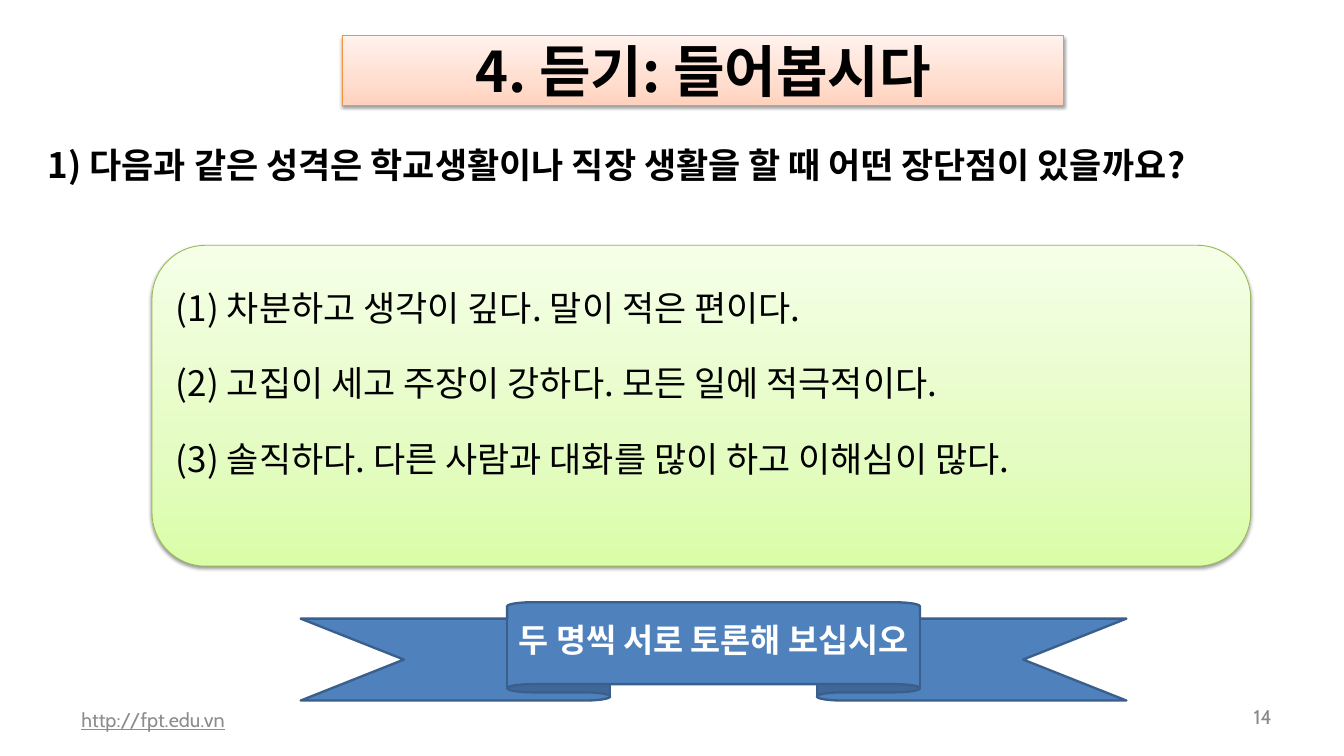
import copy
import pptx
import pptx.util
import pptx.dml.color
import pptx.enum.shapes
import pptx.enum.text
import pptx.oxml
import pptx.oxml.ns

Inches, Pt = pptx.util.Inches, pptx.util.Pt
SHAPE = pptx.enum.shapes.MSO_SHAPE
ALIGN = pptx.enum.text.PP_ALIGN
ANCHOR = pptx.enum.text.MSO_ANCHOR
qn = pptx.oxml.ns.qn

KOREAN, LATIN = "Noto Sans CJK KR", "Cabin"
TITLE = "4. 듣기: 들어봅시다"
ASK = "1) 다음과 같은 성격은 학교생활이나 직장 생활을 할 때 어떤 장단점이 있을까요?"
TRAITS = [
    "(1) 차분하고 생각이 깊다. 말이 적은 편이다.",
    "(2) 고집이 세고 주장이 강하다. 모든 일에 적극적이다.",
    "(3) 솔직하다. 다른 사람과 대화를 많이 하고 이해심이 많다.",
]
TASK = "두 명씩 서로 토론해 보십시오"
SITE, PAGE = "http://fpt.edu.vn", "14"

PEACH = [(0, "FFD2BD"), (0.35, "FFDED0"), (1, "FFF2ED")]
LIME = [(0, "DAFDA7"), (0.35, "E4FCC2"), (1, "F5FFE7")]
SHADOW = (
    '<a:effectLst xmlns:a="http://schemas.openxmlformats.org/drawingml/2006/main">'
    '<a:outerShdw blurRad="39370" dist="20320" dir="5400000" rotWithShape="0">'
    '<a:srgbClr val="000000"><a:alpha val="38000"/></a:srgbClr>'
    '</a:outerShdw></a:effectLst>'
)


def paint(color, code):
    color.rgb = pptx.dml.color.RGBColor.from_string(code)


def write(shape, lines, size, color, face=KOREAN, bold=False, align=ALIGN.LEFT,
          anchor=ANCHOR.MIDDLE, inset=(0.1, 0.05), gap=0, pitch=None):
    frame = shape.text_frame
    frame.word_wrap = True
    frame.vertical_anchor = anchor
    frame.margin_left = frame.margin_right = Inches(inset[0])
    frame.margin_top = frame.margin_bottom = Inches(inset[1])
    frame.text = "\n".join(lines)
    for i, par in enumerate(frame.paragraphs):
        par.alignment = align
        if pitch:
            par.line_spacing = pitch
        if i and gap:
            par.space_before = Pt(gap)
        font = par.font
        font.name, font.size, font.bold = face, Pt(size), bold
        paint(font.color, color)
        latin = par._p.pPr.find(qn("a:defRPr")).find(qn("a:latin"))
        east = copy.deepcopy(latin)
        east.tag = qn("a:ea")
        latin.addnext(east)
    return frame


def add_form(kind, box, edge, width):
    form = slide.shapes.add_shape(kind, *map(Inches, box))
    form.shadow.inherit = False
    paint(form.line.color, edge)
    form.line.width = Pt(width)
    return form


def add_glow(kind, box, edge, stops):
    """Add a shape with an upward gradient and a soft shadow."""
    form = add_form(kind, box, edge, 0.75)
    form.fill.gradient()
    form.fill.gradient_angle = 90
    group = form._element.spPr.find(qn("a:gradFill")).find(qn("a:gsLst"))
    group.append(copy.deepcopy(group[0]))
    for stop, (place, code) in zip(form.fill.gradient_stops, stops):
        stop.position = place
        paint(stop.color, code)
    plain = form._element.spPr.find(qn("a:effectLst"))
    plain.getparent().replace(plain, pptx.oxml.parse_xml(SHADOW))
    return form


def add_text(box):
    return slide.shapes.add_textbox(*map(Inches, box))


deck = pptx.Presentation()
deck.slide_width, deck.slide_height = Inches(16), Inches(9)
slide = deck.slides.add_slide(deck.slide_layouts[6])

site = write(add_text((0.83, 8.33, 5.07, 0.48)), [SITE], 17, "8C8C8C", LATIN,
             inset=(0.14, 0.07))
site.paragraphs[0].font.underline = True
write(add_text((14.5, 8.33, 0.78, 0.41)), [PAGE], 17, "898989", LATIN,
      align=ALIGN.RIGHT, inset=(0.14, 0.07))

title = add_glow(SHAPE.RECTANGLE, (4.08, 0.42, 8.58, 0.83), "F69240", PEACH)
write(title, [TITLE], 48, "000000", bold=True, align=ALIGN.CENTER)
write(add_text((0.47, 1.66, 15.75, 0.67)), [ASK], 30, "000000", bold=True,
      anchor=ANCHOR.TOP)

panel = add_glow(SHAPE.ROUNDED_RECTANGLE, (1.81, 2.92, 13.08, 3.82), "98B955", LIME)
body = write(panel, TRAITS, 30, "000000", gap=28.6)
body.margin_bottom = Inches(0.59)

ribbon = add_form(SHAPE.UP_RIBBON, (3.58, 7.17, 9.83, 1.17), "3A5F8C", 2)
ribbon.fill.solid()
paint(ribbon.fill.fore_color, "4F81BD")
write(ribbon, [TASK], 28, "FFFFFF", bold=True, align=ALIGN.CENTER, pitch=0.8)

deck.save("out.pptx")
